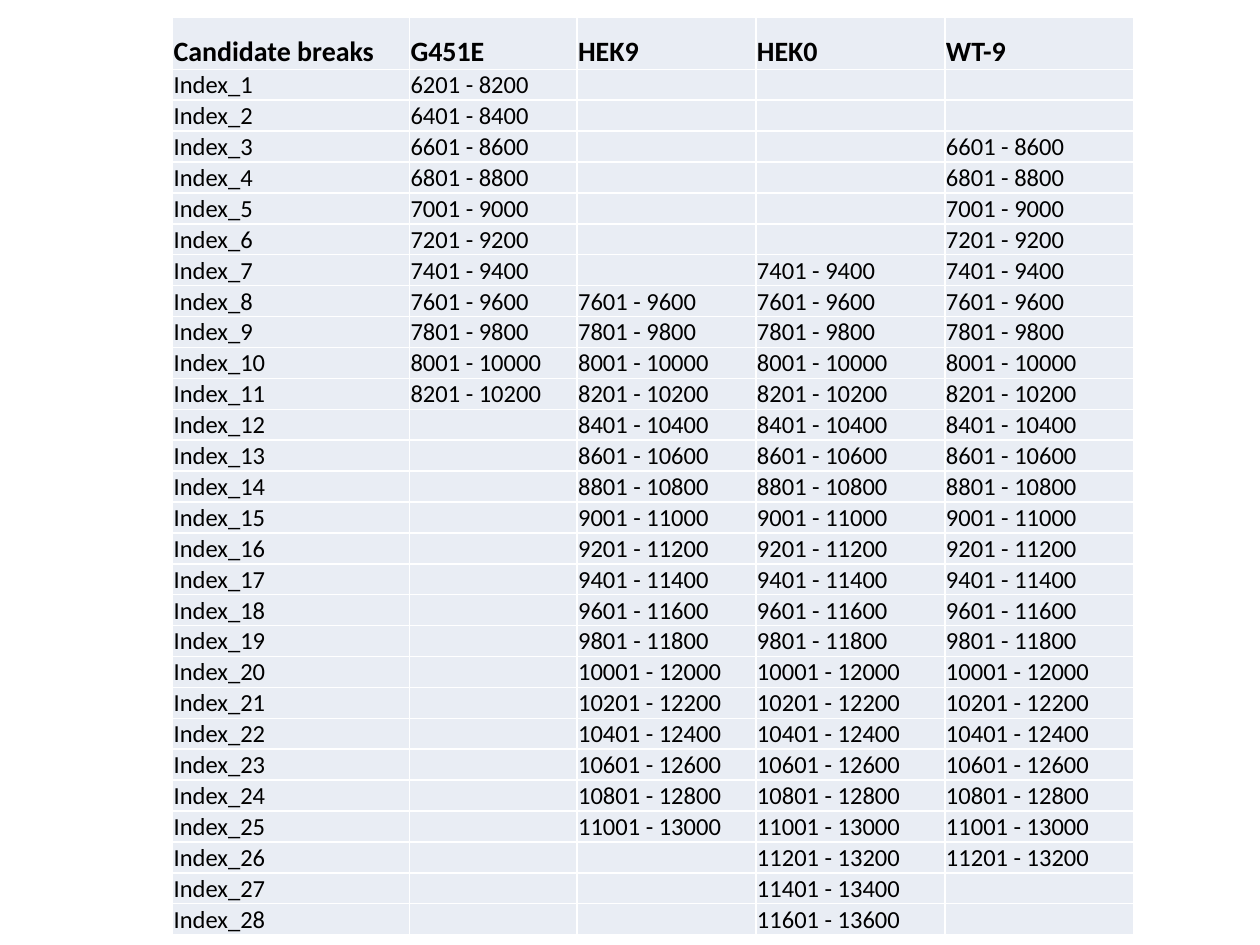
from typing import NamedTuple

from lxml import etree
from pptx import Presentation
from pptx.dml.color import RGBColor
from pptx.enum.text import MSO_ANCHOR
from pptx.oxml.ns import qn
from pptx.table import _Cell
from pptx.util import Inches, Pt

BOTTOM = MSO_ANCHOR.BOTTOM
BLACK = RGBColor(0x00, 0x00, 0x00)
WHITE = RGBColor(0xFF, 0xFF, 0xFF)
PALE_BLUE = RGBColor(0xE9, 0xED, 0xF4)
FONT = "Calibri"
HEADER_SIZE, BODY_SIZE = 16, 14
INSET = Pt(0.6)
BORDER_WIDTH = Pt(1)

INDEX_COUNT = 28
FIRST_START, STEP, WINDOW = 6201, 200, 2000
LEFT, TOP, FRAME_HEIGHT = 1.37, 0.14, 7.18
INDEX_WIDTH = 1.88
HEADER_HEIGHT, ROW_HEIGHT = 0.41, 0.22


class Sample(NamedTuple):
    name: str
    width: float
    first: int
    last: int


SAMPLES = [
    Sample("G451E", 1.33, 1, 11),
    Sample("HEK9", 1.42, 8, 25),
    Sample("HEK0", 1.5, 7, 28),
    Sample("WT-9", 1.5, 3, 26),
]


def window_text(sample: Sample, index: int) -> str:
    """Give the range of a candidate break, or nothing outside the sample's span."""
    if not sample.first <= index <= sample.last:
        return ""
    start = FIRST_START + STEP * (index - 1)
    return f"{start} - {start + WINDOW - 1}"


def table_rows() -> list[list[str]]:
    header = ["Candidate breaks"] + [sample.name for sample in SAMPLES]
    body = [
        [f"Index_{index}"] + [window_text(sample, index) for sample in SAMPLES]
        for index in range(1, INDEX_COUNT + 1)
    ]
    return [header] + body


def add_borders(cell: _Cell) -> None:
    properties = cell._tc.get_or_add_tcPr()
    for position, side in enumerate(("lnL", "lnR", "lnT", "lnB")):
        line = etree.Element(qn(f"a:{side}"), w=str(BORDER_WIDTH))
        fill = etree.SubElement(line, qn("a:solidFill"))
        etree.SubElement(fill, qn("a:srgbClr"), val=str(WHITE))
        properties.insert(position, line)


def fill_cell(cell: _Cell, text: str, size: int, bold: bool) -> None:
    cell.fill.solid()
    cell.fill.fore_color.rgb = PALE_BLUE
    add_borders(cell)
    cell.vertical_anchor = BOTTOM
    cell.margin_left = cell.margin_right = cell.margin_top = INSET
    cell.margin_bottom = 0
    para = cell.text_frame.paragraphs[0]
    if text:
        para.text = text
    else:
        # The end mark's size keeps an empty cell from stretching its row.
        etree.SubElement(para._p, qn("a:endParaRPr"), sz=str(size * 100))
    para.font.name = FONT
    para.font.size = Pt(size)
    para.font.bold = bold
    para.font.color.rgb = BLACK


def main() -> None:
    deck = Presentation()
    deck.slide_width, deck.slide_height = Inches(10), Inches(7.5)
    page = deck.slides.add_slide(deck.slide_layouts[6])

    rows = table_rows()
    widths = [INDEX_WIDTH] + [sample.width for sample in SAMPLES]
    frame = page.shapes.add_table(
        len(rows), len(widths), Inches(LEFT), Inches(TOP),
        Inches(sum(widths)), Inches(FRAME_HEIGHT),
    )
    table = frame.table
    table.first_row = table.horz_banding = False
    for column, width in zip(table.columns, widths):
        column.width = Inches(width)
    for number, texts in enumerate(rows):
        is_header = number == 0
        row = table.rows[number]
        row.height = Inches(HEADER_HEIGHT if is_header else ROW_HEIGHT)
        size = HEADER_SIZE if is_header else BODY_SIZE
        for cell, text in zip(row.cells, texts):
            fill_cell(cell, text, size, is_header)
    frame.height = Inches(FRAME_HEIGHT)

    deck.save("out.pptx")


if __name__ == "__main__":
    main()
